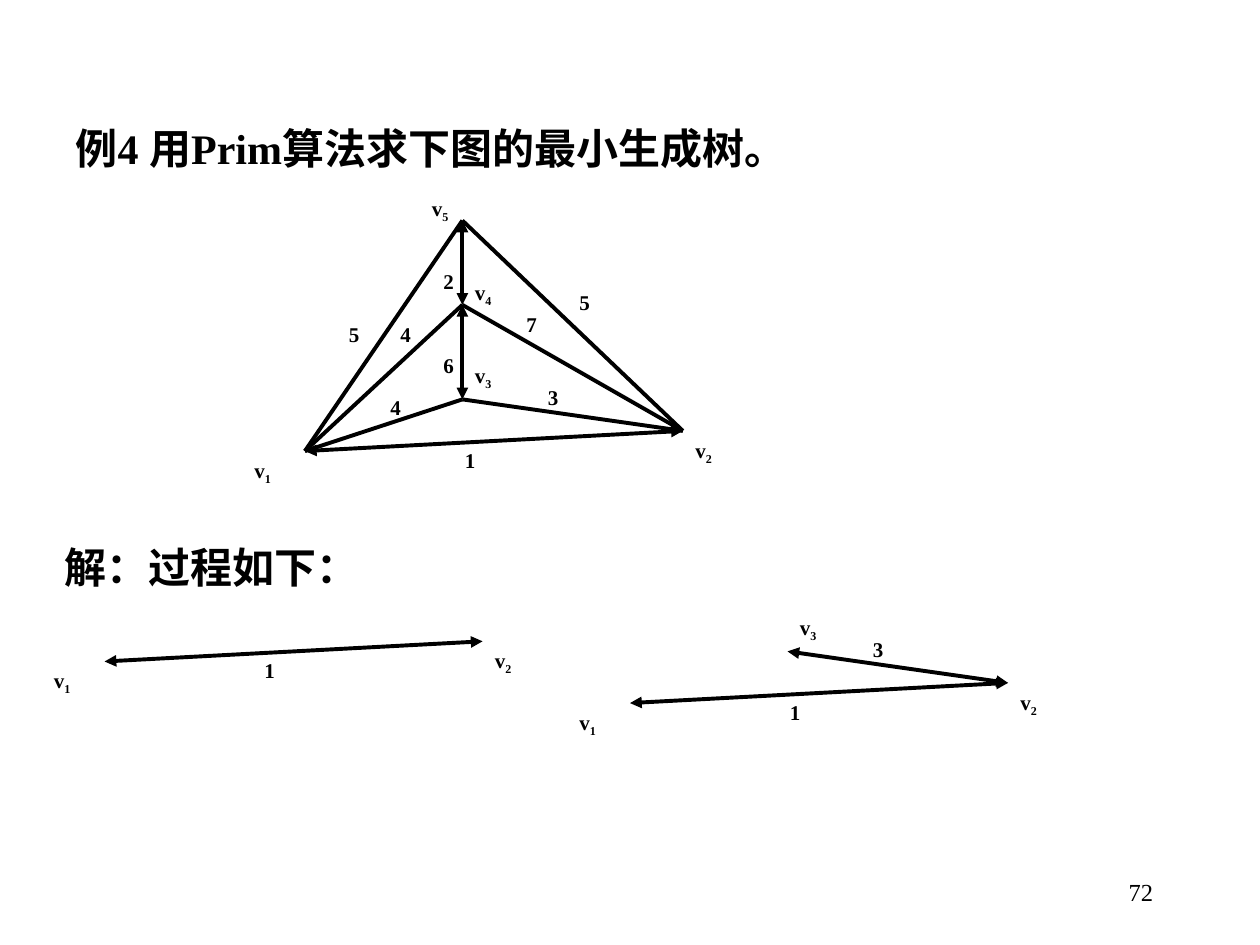
import dataclasses

import lxml.etree
import pptx
import pptx.dml.color
import pptx.enum.shapes
import pptx.enum.text
import pptx.oxml.ns
import pptx.util

Inches = pptx.util.Inches
qn = pptx.oxml.ns.qn


@dataclasses.dataclass(frozen=True)
class Theme:
    font: str = "Times New Roman"
    ink: pptx.dml.color.RGBColor = pptx.dml.color.RGBColor(0, 0, 0)
    heading_size: int = 24
    number_size: int = 14
    label_size: int = 12
    line_width: float = 2.25


THEME = Theme()

VERTICES = {1: (0, 0), 2: (3, -0.16), 3: (1.25, -0.41), 4: (1.25, -1.16), 5: (1.25, -1.83)}
LABEL_SHIFTS = {1: (-0.5, 0), 2: (0, 0), 3: (0, -0.34), 4: (0, -0.25), 5: (-0.34, -0.25)}
EDGES = {
    (5, 1): ("5", 0.25, -1.08),
    (1, 2): ("1", 1.17, -0.08),
    (5, 2): ("5", 2.08, -1.33),
    (5, 4): ("2", 1, -1.5),
    (4, 3): ("6", 1, -0.83),
    (3, 1): ("4", 0.58, -0.5),
    (4, 1): ("4", 0.66, -1.08),
    (3, 2): ("3", 1.83, -0.58),
    (4, 2): ("7", 1.66, -1.16),
}


def add_text(shapes, text, left, top, width, height, *, size, bold=True, subscript="",
             indent=0, align=pptx.enum.text.PP_ALIGN.LEFT,
             anchor=pptx.enum.text.MSO_ANCHOR.TOP, grow=True):
    box = shapes.add_textbox(Inches(left), Inches(top), Inches(width), Inches(height))
    frame = box.text_frame
    frame.word_wrap = True
    frame.vertical_anchor = anchor
    frame.margin_left = Inches(0.1 + indent)
    if grow:
        frame.auto_size = pptx.enum.text.MSO_AUTO_SIZE.SHAPE_TO_FIT_TEXT
    para = frame.paragraphs[0]
    para.alignment = align
    for part in filter(None, (text, subscript)):
        span = para.add_run()
        span.text = part
        span.font.name = THEME.font
        span.font.size = pptx.util.Pt(size)
        span.font.bold = bold
        span.font.color.rgb = THEME.ink
    if subscript:
        span.font._element.set("baseline", "-25000")


def add_edge(shapes, start, end, arrows):
    edge = shapes.add_connector(pptx.enum.shapes.MSO_CONNECTOR.STRAIGHT,
                                *(Inches(value) for value in (*start, *end)))
    edge.line.width = pptx.util.Pt(THEME.line_width)
    edge.line.color.rgb = THEME.ink
    properties = edge._element.spPr
    if arrows:
        line = properties.find(qn("a:ln"))
        for tag in ("a:headEnd", "a:tailEnd"):
            lxml.etree.SubElement(line, qn(tag), type="triangle")
    lxml.etree.SubElement(properties, qn("a:effectLst"))


def add_graph(page, left, top, vertices, edges, arrows):
    shapes = page.shapes.add_group_shape().shapes
    points = {name: (left + VERTICES[name][0], top + VERTICES[name][1]) for name in vertices}
    for start, end in edges:
        add_edge(shapes, points[start], points[end], (start, end) in arrows)
    for edge in edges:
        weight, across, down = EDGES[edge]
        add_text(shapes, weight, left + across, top + down, 0.35, 0.3, size=THEME.label_size)
    for name, (x, y) in points.items():
        across, down = LABEL_SHIFTS[name]
        add_text(shapes, "v", x + across, y + down, 0.52, 0.33,
                 size=THEME.label_size, subscript=str(name))


def add_heading(page, text, left, top):
    add_text(page.shapes, text, left, top, 8.25, 0.5, size=THEME.heading_size, indent=0.08)


def main():
    deck = pptx.Presentation()
    deck.slide_width, deck.slide_height = Inches(10), Inches(7.5)
    page = deck.slides.add_slide(deck.slide_layouts[6])

    add_text(page.shapes, "72", 7.17, 6.83, 2.08, 0.5, size=THEME.number_size, bold=False,
             align=pptx.enum.text.PP_ALIGN.RIGHT,
             anchor=pptx.enum.text.MSO_ANCHOR.MIDDLE, grow=False)

    add_heading(page, "例4 用Prim算法求下图的最小生成树。", 0.42, 0.92)
    add_graph(page, 2.42, 3.58, VERTICES, EDGES, [(1, 2), (5, 4), (4, 3)])

    add_heading(page, "解：过程如下：", 0.33, 4.25)
    first_step = [(1, 2)]
    second_step = first_step + [(3, 2)]
    add_graph(page, 0.83, 5.25, (1, 2), first_step, first_step)
    add_graph(page, 5, 5.58, (1, 2, 3), second_step, second_step)

    deck.save("out.pptx")


if __name__ == "__main__":
    main()
